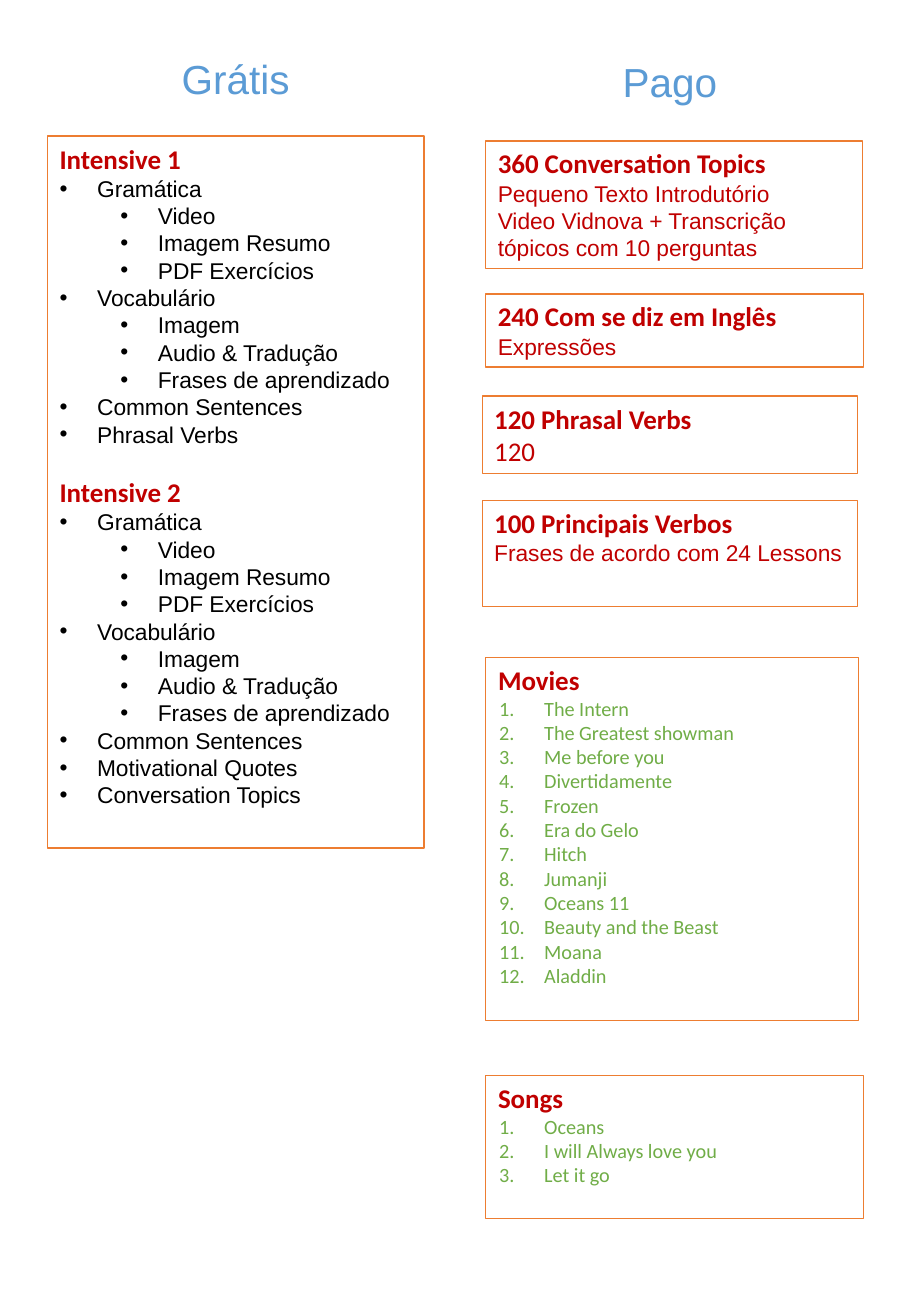
"""Build the overview of free and paid English course material."""
from dataclasses import dataclass
from typing import Optional

from lxml import etree
from pptx import Presentation, util as u
from pptx.dml.color import RGBColor
from pptx.enum import shapes, text
from pptx.oxml import ns

RED = RGBColor(0xC0, 0x00, 0x00)
GREEN = RGBColor(0x70, 0xAD, 0x47)
BLUE = RGBColor(0x5B, 0x9B, 0xD5)
BLACK = RGBColor(0x00, 0x00, 0x00)
ORANGE = RGBColor(0xED, 0x7D, 0x31)


@dataclass(frozen=True)
class Style:
    size: float
    font: str
    color: RGBColor
    bold: bool = False
    margin: float = 0
    hanging: float = 0
    bullet: Optional[str] = None
    level: int = 0
    space_before: float = 0
    align: text.PP_ALIGN = text.PP_ALIGN.LEFT


HEADING = Style(16, "Calibri", RED, bold=True)
NEXT_HEADING = Style(16, "Calibri", RED, bold=True, space_before=16.5)
DETAIL = Style(13.5, "Arial", RED)
COUNT = Style(16, "Calibri", RED)
TOPIC = Style(13.5, "Arial", BLACK, margin=0.31, hanging=0.31, bullet="buChar")
SUBTOPIC = Style(13.5, "Arial", BLACK, margin=0.81, hanging=0.31, bullet="buChar", level=1)
NUMBERED = Style(12, "Calibri", GREEN, margin=0.38, hanging=0.37, bullet="buAutoNum")
COLUMN_TITLE = Style(24, "Arial", BLUE, align=text.PP_ALIGN.CENTER)


@dataclass(frozen=True)
class Line:
    wording: str
    style: Style


@dataclass(frozen=True)
class Panel:
    left: float
    top: float
    width: float
    height: float
    lines: list[Line]
    placeholder: Optional[int] = None
    framed: bool = True


def styled(style: Style, *wordings: str) -> list[Line]:
    return [Line(wording, style) for wording in wordings]


def intensive(heading: Line, *extras: str) -> list[Line]:
    return [
        heading,
        *styled(TOPIC, "Gramática"),
        *styled(SUBTOPIC, "Video", "Imagem Resumo", "PDF Exercícios"),
        *styled(TOPIC, "Vocabulário"),
        *styled(SUBTOPIC, "Imagem", "Audio & Tradução", "Frases de aprendizado"),
        *styled(TOPIC, "Common Sentences", *extras),
    ]


def section(heading: str, style: Style, *wordings: str) -> list[Line]:
    return [Line(heading, HEADING), *styled(style, *wordings)]


COURSES = [
    *intensive(Line("Intensive 1", HEADING), "Phrasal Verbs"),
    *intensive(Line("Intensive 2", NEXT_HEADING), "Motivational Quotes", "Conversation Topics"),
]
MOVIES = section(
    "Movies", NUMBERED, "The Intern", "The Greatest showman", "Me before you",
    "Divertidamente", "Frozen", "Era do Gelo", "Hitch", "Jumanji", "Oceans 11",
    "Beauty and the Beast", "Moana", "Aladdin")
SONGS = section("Songs", NUMBERED, "Oceans", "I will Always love you", "Let it go")
CONVERSATION = section(
    "360 Conversation Topics", DETAIL, "Pequeno Texto Introdutório",
    "Video Vidnova + Transcrição", "tópicos com 10 perguntas")

PANELS = [
    Panel(1.39, 0.39, 1.1, 0.5, styled(COLUMN_TITLE, "Grátis"), 0, False),
    Panel(0.39, 1.12, 3.1, 5.86, COURSES, 1),
    Panel(5.02, 0.42, 0.99, 0.5, styled(COLUMN_TITLE, "Pago"), 3, False),
    Panel(4, 1.16, 3.1, 1.05, CONVERSATION),
    Panel(4, 2.42, 3.11, 0.6, section("240 Com se diz em Inglês", DETAIL, "Expressões")),
    Panel(3.97, 3.26, 3.09, 0.64, section("120 Phrasal Verbs", COUNT, "120")),
    Panel(3.97, 4.12, 3.09, 0.87,
          section("100 Principais Verbos", DETAIL, "Frases de acordo com 24 Lessons")),
    Panel(4, 5.41, 3.07, 2.99, MOVIES, 2),
    Panel(4, 8.85, 3.11, 1.18, SONGS, 4),
]


def set_bullet(paragraph, style: Style) -> None:
    properties = paragraph._p.get_or_add_pPr()
    properties.set("marL", str(u.Inches(style.margin)))
    properties.set("indent", str(-u.Inches(style.hanging)))
    if style.bullet == "buChar":
        etree.SubElement(properties, ns.qn("a:buFont"), typeface="Arial")
        etree.SubElement(properties, ns.qn("a:buChar"), char="•")
    elif style.bullet == "buAutoNum":
        color = etree.SubElement(properties, ns.qn("a:buClr"))
        etree.SubElement(color, ns.qn("a:srgbClr"), val=str(style.color))
        etree.SubElement(properties, ns.qn("a:buFont"), typeface="+mj-lt")
        etree.SubElement(properties, ns.qn("a:buAutoNum"), type="arabicPeriod")
    else:
        etree.SubElement(properties, ns.qn("a:buNone"))


def write_line(paragraph, line: Line) -> None:
    style = line.style
    paragraph.text = line.wording
    set_bullet(paragraph, style)
    paragraph.level = style.level
    paragraph.alignment = style.align
    paragraph.line_spacing = 1.0
    paragraph.space_before = u.Pt(style.space_before)
    paragraph.space_after = u.Pt(0)
    for run in paragraph.runs:
        run.font.size = u.Pt(style.size)
        run.font.name = style.font
        run.font.bold = style.bold
        run.font.color.rgb = style.color


def draw_panel(slide, panel: Panel) -> None:
    place = [u.Inches(n) for n in (panel.left, panel.top, panel.width, panel.height)]
    if panel.placeholder is None:
        box = slide.shapes.add_shape(shapes.MSO_SHAPE.RECTANGLE, *place)
        box.shadow.inherit = False
    else:
        box = slide.placeholders[panel.placeholder]
        box.left, box.top, box.width, box.height = place
    box.fill.background()
    if panel.framed:
        box.line.color.rgb = ORANGE
        box.line.width = u.Pt(0.75)
    frame = box.text_frame
    frame.word_wrap = panel.framed
    frame.auto_size = text.MSO_AUTO_SIZE.NONE
    frame.vertical_anchor = text.MSO_ANCHOR.TOP
    frame.margin_left = frame.margin_right = u.Inches(0.1)
    frame.margin_top = frame.margin_bottom = u.Inches(0.05)
    for number, line in enumerate(panel.lines):
        write_line(frame.add_paragraph() if number else frame.paragraphs[0], line)


def main() -> None:
    deck = Presentation()
    deck.slide_width, deck.slide_height = u.Inches(7.5), u.Inches(10.83)
    slide = deck.slides.add_slide(deck.slide_layouts.get_by_name("Comparison"))
    for panel in PANELS:
        draw_panel(slide, panel)
    deck.save("out.pptx")


if __name__ == "__main__":
    main()
